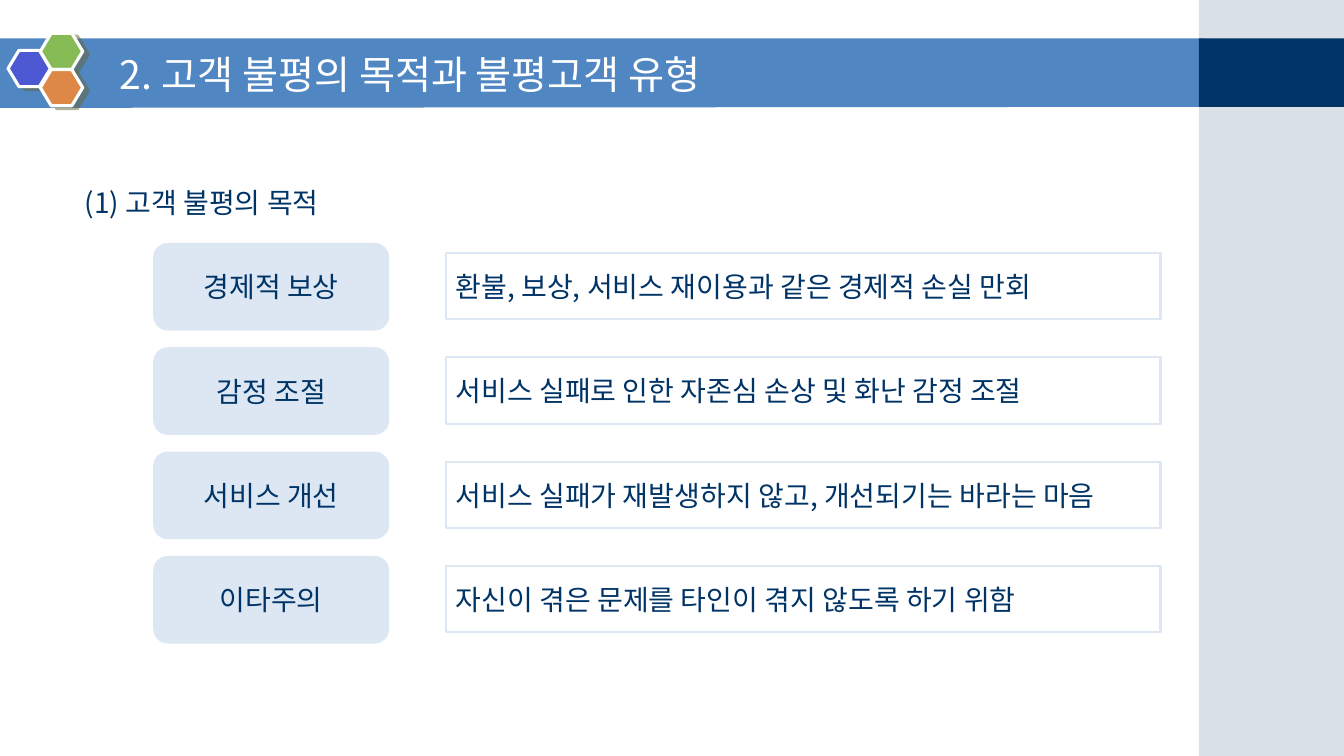
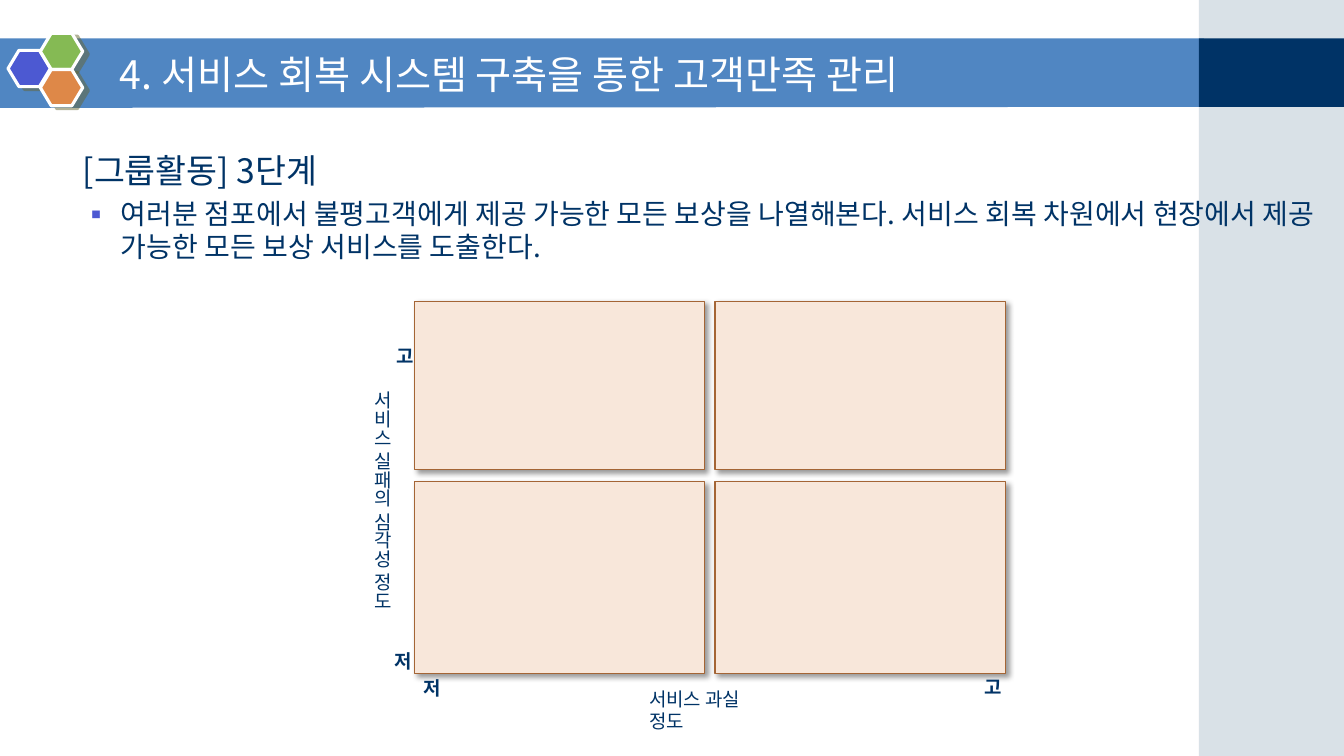
from pptx import Presentation
from pptx.dml.color import RGBColor
from pptx.enum.shapes import MSO_SHAPE
from pptx.enum.text import MSO_ANCHOR, MSO_AUTO_SIZE, PP_ALIGN
from pptx.oxml.ns import qn
from pptx.util import Inches, Pt
from lxml.etree import SubElement

FONT = "Noto Sans CJK KR"
WHITE = RGBColor(0xFF, 0xFF, 0xFF)
NAVY = RGBColor(0x00, 0x33, 0x66)
BLUE = RGBColor(0x50, 0x86, 0xC2)
SLATE = RGBColor(0xA0, 0xB5, 0xC4)
PALE = RGBColor(0xDC, 0xE7, 0xF3)
VIOLET = RGBColor(0x4C, 0x59, 0xD2)
GREEN = RGBColor(0x85, 0xBA, 0x54)
ORANGE = RGBColor(0xDE, 0x88, 0x48)
OLIVE = RGBColor(0x66, 0x66, 0x33)
PEACH = RGBColor(0xF8, 0xE7, 0xDA)
BROWN = RGBColor(0xA4, 0x65, 0x35)
BLACK = RGBColor(0, 0, 0)

HEXES = [(0.08, 0.5, VIOLET), (0.4, 0.33, GREEN), (0.4, 0.69, ORANGE)]

GOALS = {
    "title": "2. 고객 불평의 목적과 불평고객 유형",
    "head": "(1) 고객 불평의 목적",
    "rows": [
        ("경제적 보상", "환불, 보상, 서비스 재이용과 같은 경제적 손실 만회"),
        ("감정 조절", "서비스 실패로 인한 자존심 손상 및 화난 감정 조절"),
        ("서비스 개선", "서비스 실패가 재발생하지 않고, 개선되기는 바라는 마음"),
        ("이타주의", "자신이 겪은 문제를 타인이 겪지 않도록 하기 위함"),
    ],
}
GROUP = {
    "title": "4. 서비스 회복 시스템 구축을 통한 고객만족 관리",
    "head": "[그룹활동] 3단계",
    "task": "여러분 점포에서 불평고객에게 제공 가능한 모든 보상을 나열해본다. "
            "서비스 회복 차원에서 현장에서 제공 가능한 모든 보상 서비스를 도출한다.",
    "ends": [("고", 3.83, 3.4), ("저", 3.81, 6.42),
             ("저", 4.1, 6.69), ("고", 9.67, 6.68)],
    "up": "서비스 실패의 심각성 정도",
    "across": "서비스 과실 정도",
}


def place(shape, x, y, w, h):
    shape.left, shape.top = Inches(x), Inches(y)
    shape.width, shape.height = Inches(w), Inches(h)


def write(para, text, size=20, color=NAVY, bold=False, align=PP_ALIGN.LEFT,
          before=0, lines=None, bullet=None):
    """Fill a paragraph; bullet is a (mark, colour) pair."""
    props = para._p.get_or_add_pPr()
    hang = Inches(0.38) if bullet else 0
    props.set("marL", str(hang))
    props.set("indent", str(-hang))
    if bullet:
        mark, tint = bullet
        SubElement(SubElement(props, qn("a:buClr")), qn("a:srgbClr"), val=str(tint))
        SubElement(props, qn("a:buFont"), typeface=FONT)
        SubElement(props, qn("a:buChar"), char=mark)
    else:
        SubElement(props, qn("a:buNone"))
    para.alignment = align
    para.space_before = Pt(before)
    if lines:
        para.line_spacing = lines
    run = para.add_run()
    run.text = text
    font = run.font
    font.name, font.size, font.bold = FONT, Pt(size), bold
    font.color.rgb = color
    SubElement(run._r.get_or_add_rPr(), qn("a:ea"), typeface=FONT)


def cast(shape, color, alpha, blur, dist, angle):
    """Give a shape an outer shadow."""
    effects = shape.element.spPr.find(qn("a:effectLst"))
    outer = SubElement(effects, qn("a:outerShdw"), blurRad=str(Pt(blur)),
                       dist=str(Pt(dist)), dir=str(angle * 60000),
                       algn="tl", rotWithShape="0")
    tint = SubElement(outer, qn("a:srgbClr"), val=str(color))
    SubElement(tint, qn("a:alpha"), val=str(alpha * 1000))


def paint(shape, fill=None, line=None, width=1):
    shape.shadow.inherit = False
    if fill is None:
        shape.fill.background()
    else:
        shape.fill.solid()
        shape.fill.fore_color.rgb = fill
    if line is None:
        shape.line.fill.background()
    else:
        shape.line.color.rgb = line
        shape.line.width = Pt(width)
    return shape


def draw(slide, kind, x, y, w, h, **look):
    shape = slide.shapes.add_shape(kind, Inches(x), Inches(y), Inches(w), Inches(h))
    return paint(shape, **look)


def label(slide, text, x, y, w, h, wrap=False, vert=None, **look):
    box = slide.shapes.add_textbox(Inches(x), Inches(y), Inches(w), Inches(h))
    frame = box.text_frame
    frame.word_wrap = wrap
    frame.margin_top = frame.margin_bottom = Inches(0.1 if vert else 0.02)
    if vert:
        frame._txBody.bodyPr.set("vert", vert)
    write(frame.paragraphs[0], text, size=13.5, **look)


def dress(layout, slide):
    """Draw the bands and hexagons once and hand them to the layout."""
    first = len(slide.shapes)
    build = slide.shapes.build_freeform(Inches(-0.01), Inches(0.38), scale=1.0)
    build.add_line_segments([(Inches(x), Inches(y)) for x, y in
                             [(11.94, 0.38), (11.93, 1.06), (-0.01, 1.07)]])
    paint(build.convert_to_shape(), fill=BLUE)
    side = draw(slide, MSO_SHAPE.RECTANGLE, 11.89, 0, 1.44, 7.5, fill=SLATE)
    tint = side.element.spPr.find(qn("a:solidFill"))[0]
    SubElement(tint, qn("a:alpha"), val="40000")
    draw(slide, MSO_SHAPE.RECTANGLE, 11.89, 0.38, 1.44, 0.68, fill=NAVY)
    for x, y, color in HEXES:
        cell = draw(slide, MSO_SHAPE.HEXAGON, x, y, 0.42, 0.36,
                    fill=color, line=WHITE, width=2.25)
        cell.adjustments[0] = 0.3
        cast(cell, OLIVE, 50, 0, 4.5, 27)
    tree = layout.shapes.element
    for i, shape in enumerate(list(slide.shapes)[first:]):
        shape.element.xpath(".//p:cNvPr")[0].set("id", str(20 + i))
        tree.insert(2 + i, shape.element)


def start(deck, data, x, y, size):
    """Add a slide with its title and heading; return it and its body frame."""
    slide = deck.slides.add_slide(deck.slide_layouts[1])
    title, body = slide.placeholders
    place(title, 1.09, 0.42, 10.61, 0.62)
    place(body, x, y, 12.6, 5.31)
    for shape in (title, body):
        shape.text_frame.auto_size = MSO_AUTO_SIZE.NONE
    title.text_frame.vertical_anchor = MSO_ANCHOR.MIDDLE
    write(title.text_frame.paragraphs[0], data["title"], size=28, color=WHITE)
    write(body.text_frame.paragraphs[0], data["head"], size=size, lines=1.5)
    return slide, body.text_frame


def goals(deck):
    slide, _ = start(deck, GOALS, 0.74, 1.62, 20)
    for i, (name, text) in enumerate(GOALS["rows"]):
        y = 2.41 + 1.035 * i
        note = draw(slide, MSO_SHAPE.RECTANGLE, 4.42, y + 0.1, 7.09, 0.66,
                    line=PALE, width=1.5)
        tag = draw(slide, MSO_SHAPE.ROUNDED_RECTANGLE, 1.52, y, 2.34, 0.87, fill=PALE)
        write(note.text_frame.paragraphs[0], text)
        write(tag.text_frame.paragraphs[0], name, align=PP_ALIGN.CENTER)
    return slide


def group(deck):
    slide, frame = start(deck, GROUP, 0.72, 1.24, 24)
    write(frame.add_paragraph(), GROUP["task"], before=4, bullet=("▪", VIOLET))
    for y, h in [(2.99, 1.67), (4.78, 1.9)]:
        for x in (4.11, 7.09):
            cell = draw(slide, MSO_SHAPE.RECTANGLE, x, y, 2.88, h,
                        fill=PEACH, line=BROWN)
            cast(cell, BLACK, 40, 4, 3, 45)
    label(slide, GROUP["up"], 3.59, 3.78, 0.37, 2.3, vert="eaVert")
    for text, x, y in GROUP["ends"]:
        label(slide, text, x, y, 0.34, 0.29, bold=True)
    label(slide, GROUP["across"], 6.34, 6.8, 1.25, 0.5, wrap=True)


def main():
    deck = Presentation()
    deck.slide_width, deck.slide_height = Inches(13.33), Inches(7.5)
    dress(deck.slide_layouts[1], goals(deck))
    group(deck)
    deck.save("out.pptx")


if __name__ == "__main__":
    main()
